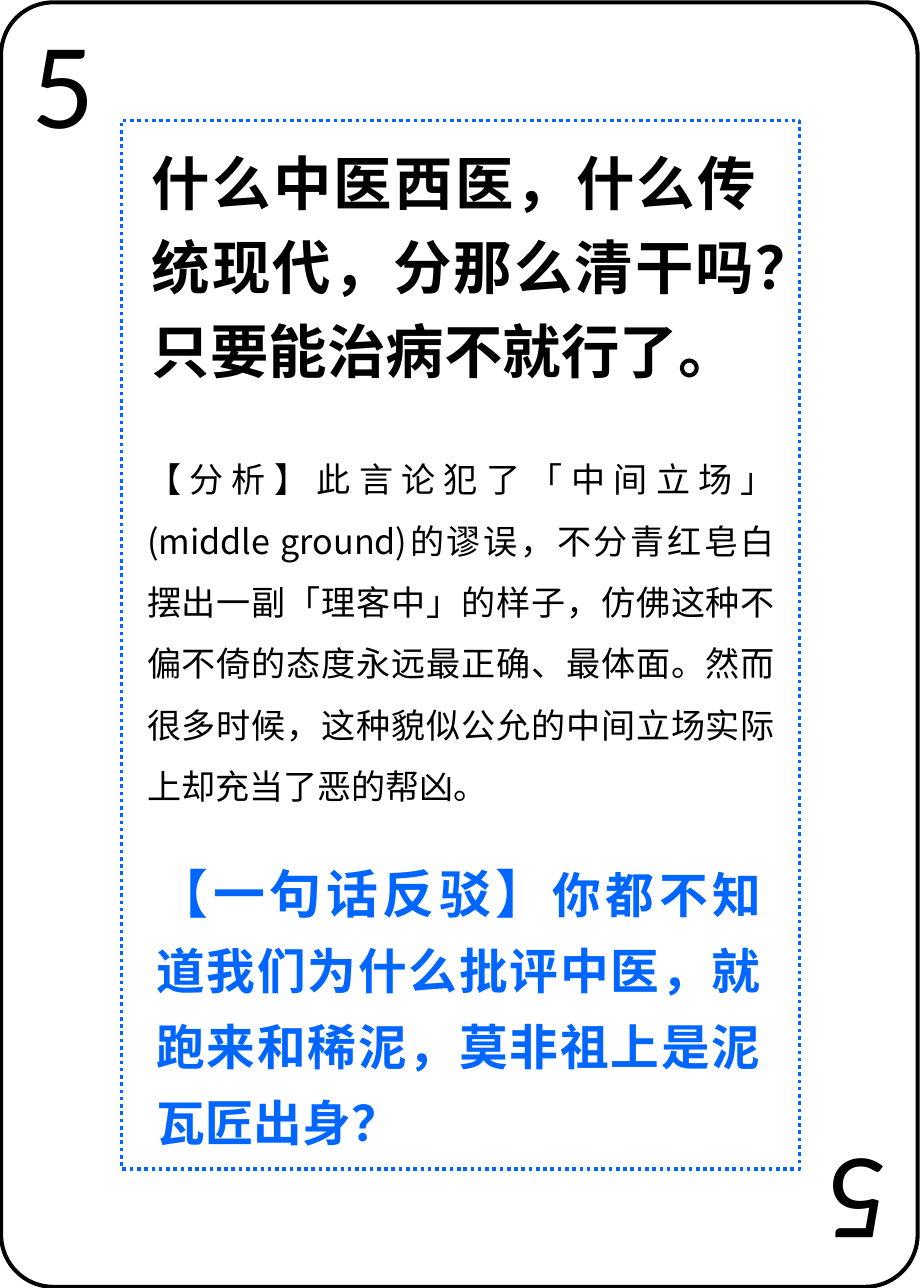
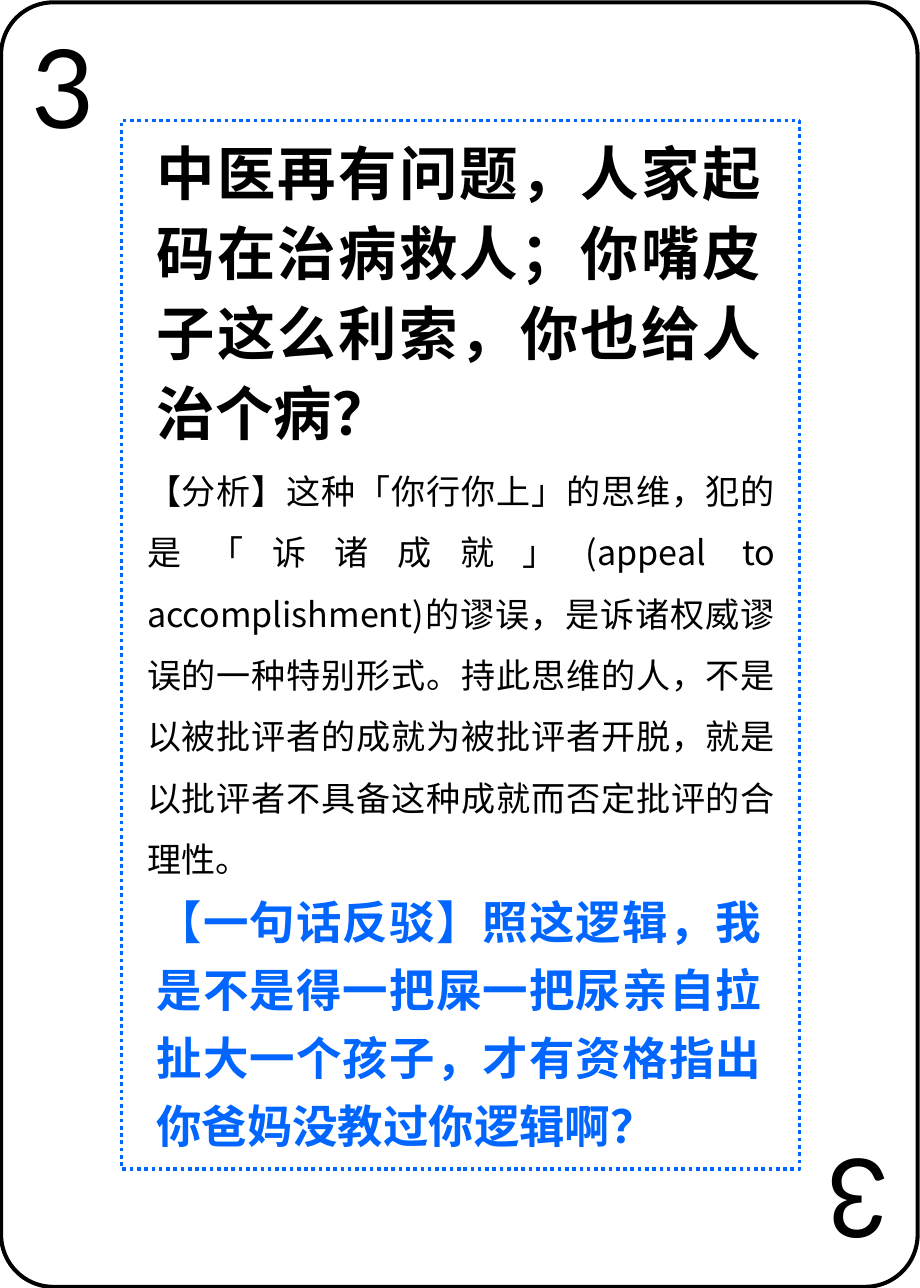
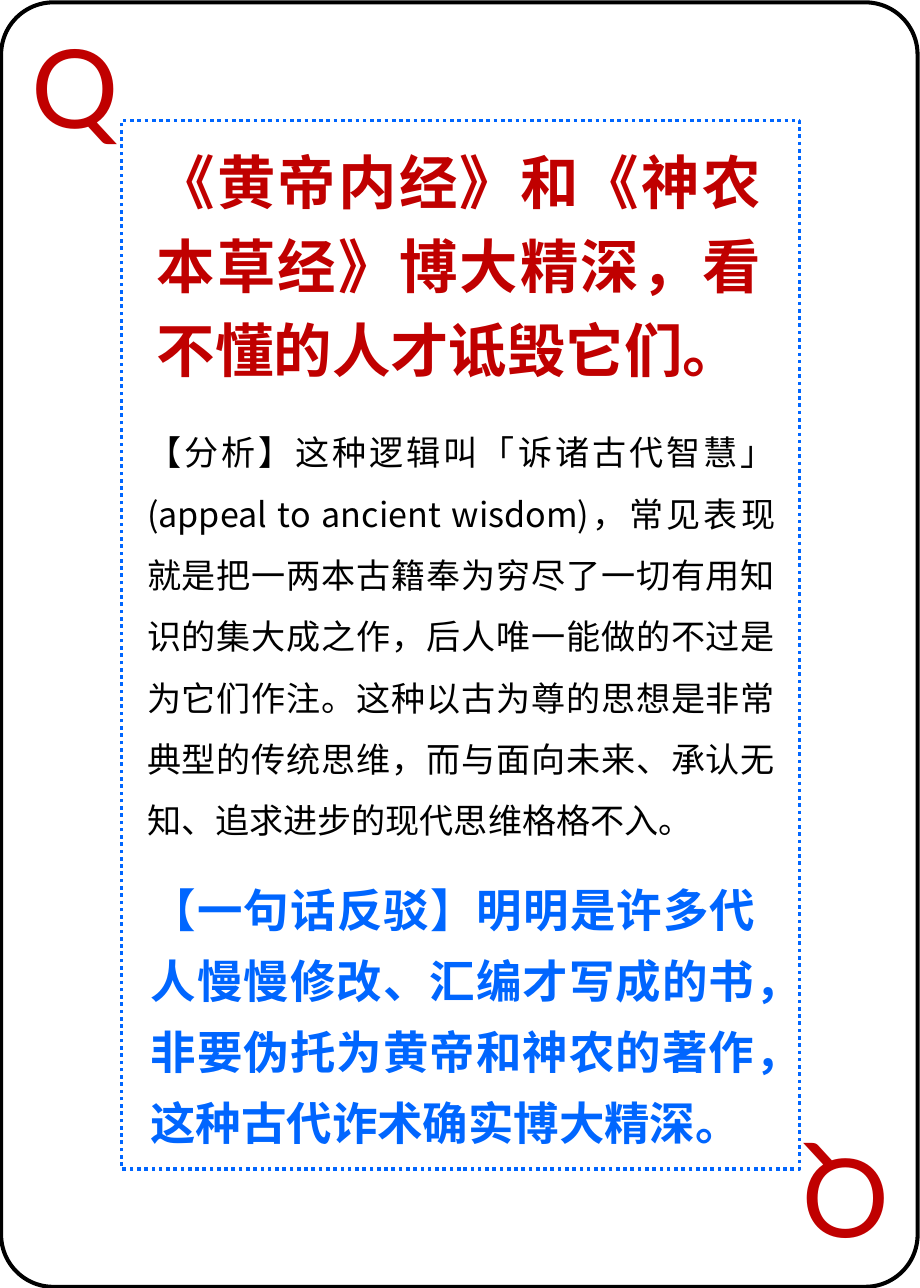
from dataclasses import dataclass

from lxml.etree import SubElement
from pptx import Presentation
from pptx.dml.color import RGBColor
from pptx.enum.dml import MSO_LINE
from pptx.enum.lang import MSO_LANGUAGE_ID
from pptx.enum.shapes import MSO_SHAPE
from pptx.enum.text import MSO_ANCHOR, MSO_AUTO_SIZE, PP_ALIGN
from pptx.oxml.ns import qn
from pptx.util import Inches, Pt

BLACK = RGBColor(0x00, 0x00, 0x00)
RED = RGBColor(0xC0, 0x00, 0x00)
BLUE = RGBColor(0x00, 0x66, 0xFF)

RANK_FONT = "Lato"
TEXT_FONT = "Noto Sans CJK SC"

CARD_WIDTH, CARD_HEIGHT = 7.87, 11.02
TITLE_ONLY_LAYOUT = 5
REBUTTAL_LABEL = "【一句话反驳】"


@dataclass
class Card:
    """Content of one playing card; each box is (left, top, width, height) in inches."""
    rank: str
    claim: str
    claim_box: tuple
    analysis: str
    analysis_box: tuple
    rebuttal: str
    rebuttal_box: tuple
    color: RGBColor = BLACK
    claim_spacing: float = 1.2
    rebuttal_spacing: float = 1.3
    label_size: float = 28
    rebuttal_size: float = 28


CARDS = [
    Card(
        rank="5",
        claim="什么中医西医，什么传统现代，分那么清干吗？只要能治病不就行了。",
        claim_box=(1.2, 1.09, 5.37, 2.22),
        analysis="【分析】此言论犯了「中间立场」(middle ground)的谬误，不分青红皂白"
                 "摆出一副「理客中」的样子，仿佛这种不偏不倚的态度永远最正确、最体面。"
                 "然而很多时候，这种貌似公允的中间立场实际上却充当了恶的帮凶。",
        analysis_box=(1.16, 3.7, 5.57, 3.22),
        rebuttal="你都不知道我们为什么批评中医，就跑来和稀泥，莫非祖上是泥瓦匠出身？",
        rebuttal_box=(1.24, 7.16, 5.37, 2.71),
        label_size=32,
        rebuttal_size=30,
    ),
    Card(
        rank="3",
        claim="中医再有问题，人家起码在治病救人；你嘴皮子这么利索，你也给人治个病？",
        claim_box=(1.24, 1.04, 5.37, 2.81),
        claim_spacing=1.14,
        analysis="【分析】这种「你行你上」的思维，犯的是「诉诸成就」"
                 "(appeal to accomplishment)的谬误，是诉诸权威谬误的一种特别形式。"
                 "持此思维的人，不是以被批评者的成就为被批评者开脱，"
                 "就是以批评者不具备这种成就而否定批评的合理性。",
        analysis_box=(1.16, 3.8, 5.57, 3.75),
        rebuttal="照这逻辑，我是不是得一把屎一把尿亲自拉扯大一个孩子，"
                 "才有资格指出你爸妈没教过你逻辑啊？",
        rebuttal_box=(1.24, 7.48, 5.37, 2.49),
        rebuttal_spacing=1.25,
    ),
    Card(
        rank="Q",
        color=RED,
        claim="《黄帝内经》和《神农本草经》博大精深，看不懂的人才诋毁它们。",
        claim_box=(1.24, 1.08, 5.37, 2.22),
        analysis="【分析】这种逻辑叫「诉诸古代智慧」(appeal to ancient wisdom)，"
                 "常见表现就是把一两本古籍奉为穷尽了一切有用知识的集大成之作，"
                 "后人唯一能做的不过是为它们作注。这种以古为尊的思想是非常典型的传统思维，"
                 "而与面向未来、承认无知、追求进步的现代思维格格不入。",
        analysis_box=(1.16, 3.47, 5.57, 3.75),
        rebuttal="明明是许多代人慢慢修改、汇编才写成的书，"
                 "非要伪托为黄帝和神农的著作，这种古代诈术确实博大精深。",
        rebuttal_box=(1.19, 7.36, 5.37, 2.49),
    ),
]


def place(shape, box):
    shape.left, shape.top, shape.width, shape.height = map(Inches, box)


def add_text_box(slide, box):
    return slide.shapes.add_textbox(*map(Inches, box))


def write_text(shape, runs, *, color, font=TEXT_FONT, bold=False,
               align=PP_ALIGN.JUSTIFY, line_spacing=1.0):
    """Fill a shape with one paragraph made of (text, size) runs."""
    frame = shape.text_frame
    frame.word_wrap = True
    frame.auto_size = MSO_AUTO_SIZE.SHAPE_TO_FIT_TEXT
    frame.vertical_anchor = MSO_ANCHOR.TOP
    paragraph = frame.paragraphs[0]
    paragraph.alignment = align
    paragraph.line_spacing = line_spacing
    paragraph._p.get_or_add_pPr().set("hangingPunct", "1")
    for text, size in runs:
        run = paragraph.add_run()
        run.text = text
        run.font.size = Pt(size)
        run.font.bold = bold
        run.font.color.rgb = color
        run.font.name = font
        run.font.language_id = MSO_LANGUAGE_ID.SIMPLIFIED_CHINESE
        SubElement(run._r.get_or_add_rPr(), qn("a:ea")).set("typeface", font)


def add_outline(slide, shape_type, box, color, width):
    outline = slide.shapes.add_shape(shape_type, *map(Inches, box))
    outline.shadow.inherit = False
    outline.fill.background()
    outline.line.color.rgb = color
    outline.line.width = Pt(width)
    return outline


def add_ranks(slide, rank, color):
    """Write the rank in the top left corner and upside down in the bottom right one."""
    for left, top, rotation in ((0.17, 0.12, 0), (6.95, 9.67, 180)):
        corner = add_text_box(slide, (left, top, 0.76, 1.23))
        corner.rotation = rotation
        write_text(corner, [(rank, 67.2)], color=color, font=RANK_FONT, align=PP_ALIGN.LEFT)


def add_frames(slide):
    text_frame = add_outline(slide, MSO_SHAPE.RECTANGLE, (1.04, 1.03, 5.8, 8.97), BLUE, 2.25)
    text_frame.line.dash_style = MSO_LINE.ROUND_DOT
    card_edge = add_outline(slide, MSO_SHAPE.ROUNDED_RECTANGLE,
                            (0.01, 0.02, 7.84, 10.99), BLACK, 2.5)
    card_edge.adjustments[0] = 0.057


def add_card(presentation, card):
    slide = presentation.slides.add_slide(presentation.slide_layouts[TITLE_ONLY_LAYOUT])
    title = slide.shapes.title
    place(title, card.claim_box)
    write_text(title, [(card.claim, 36)], color=card.color, bold=True,
               line_spacing=card.claim_spacing)
    add_ranks(slide, card.rank, card.color)
    write_text(add_text_box(slide, card.analysis_box), [(card.analysis, 21)],
               color=BLACK, line_spacing=1.5)
    write_text(add_text_box(slide, card.rebuttal_box),
               [(REBUTTAL_LABEL, card.label_size), (card.rebuttal, card.rebuttal_size)],
               color=BLUE, bold=True, line_spacing=card.rebuttal_spacing)
    add_frames(slide)


def main():
    presentation = Presentation()
    presentation.slide_width = Inches(CARD_WIDTH)
    presentation.slide_height = Inches(CARD_HEIGHT)
    for card in CARDS:
        add_card(presentation, card)
    presentation.save("out.pptx")


if __name__ == "__main__":
    main()
